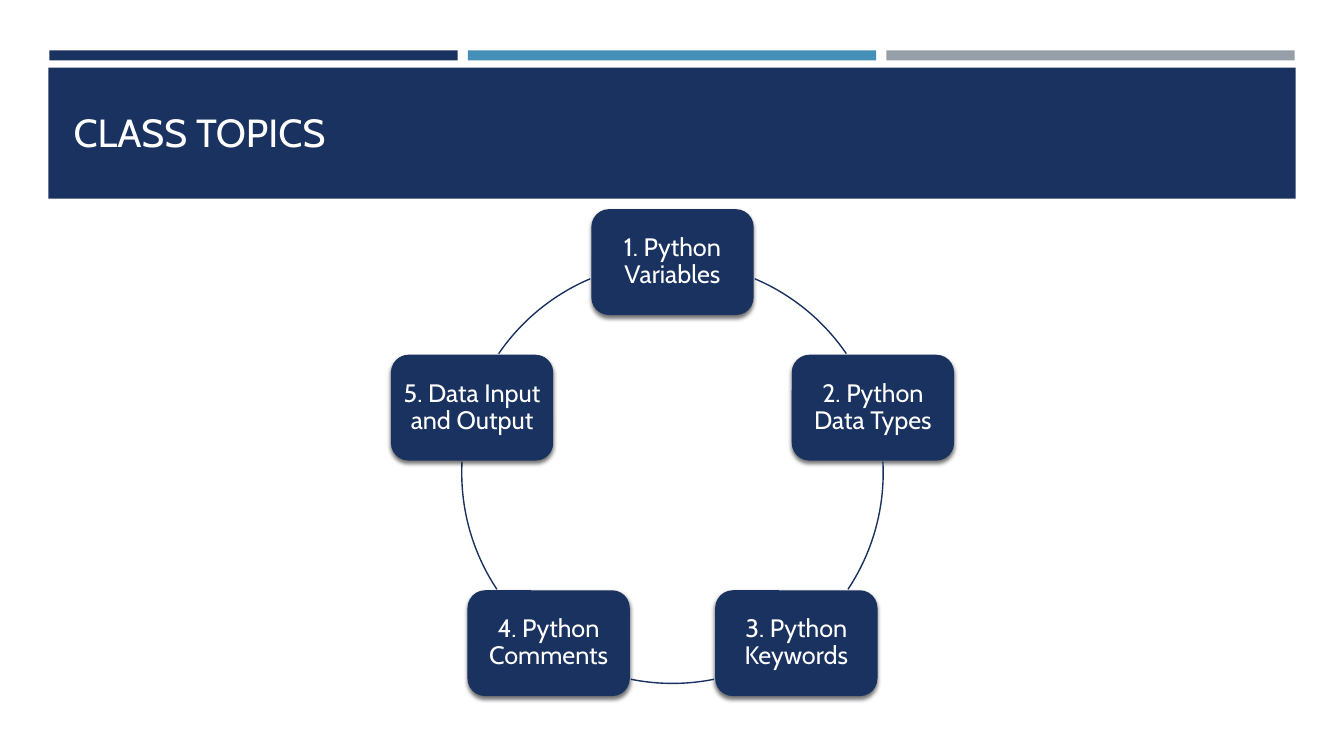
import math
from lxml import etree
from pptx import Presentation
from pptx import util as u
from pptx.dml.color import RGBColor
from pptx.enum import shapes, text
from pptx.oxml import parse_xml

THEME = {
    "navy": RGBColor(0x1A, 0x32, 0x60),
    "blue": RGBColor(0x45, 0x90, 0xB8),
    "grey": RGBColor(0x96, 0x9F, 0xA7),
    "title": RGBColor(0xFF, 0xFE, 0xFF),
    "text": RGBColor(0xFF, 0xFF, 0xFF),
    "font": "Cabin",
    "title_size": u.Pt(28),
    "card_size": u.Pt(18),
}
SHADOW = (
    '<a:outerShdw xmlns:a="http://schemas.openxmlformats.org/drawingml/2006/main" '
    'blurRad="38100" dist="25400" dir="5400000" rotWithShape="0">'
    '<a:srgbClr val="000000"><a:alpha val="55000"/></a:srgbClr></a:outerShdw>'
)


def add_block(s, kind, left, top, width, height, color):
    sp = s.shapes.add_shape(kind, *map(u.Inches, (left, top, width, height)))
    sp.shadow.inherit = False
    sp.fill.solid()
    sp.fill.fore_color.rgb = color
    sp.line.fill.background()
    return sp


def add_run(p, words, size, color):
    r = p.add_run()
    r.text = words
    r.font.name = THEME["font"]
    r.font.size = size
    r.font.color.rgb = color


prs = Presentation()
prs.slide_width, prs.slide_height = u.Inches(13.33), u.Inches(7.5)
s = prs.slides.add_slide(prs.slide_layouts[5])

# Three header strips and the title band
strip_left, strip_width, strip_step = 0.49, 4.05, 4.15
for col, name in enumerate(("navy", "blue", "grey")):
    add_block(s, shapes.MSO_SHAPE.RECTANGLE, strip_left + col * strip_step, 0.5,
              strip_width, 0.1, THEME[name])
add_block(s, shapes.MSO_SHAPE.RECTANGLE, 0.48, 0.67, 12.37, 1.3, THEME["navy"])

# Title, brought in front of its band
title = s.shapes.title
title.left, title.top = u.Inches(0.63), u.Inches(0.94)
title.width, title.height = u.Inches(12.06), u.Inches(0.66)
s.shapes.element.append(title.element)
tf = title.text_frame
tf.auto_size = text.MSO_AUTO_SIZE.NONE
tf.vertical_anchor = text.MSO_ANCHOR.BOTTOM
p = tf.paragraphs[0]
p.alignment = text.PP_ALIGN.LEFT
p.line_spacing = 0.9
add_run(p, "CLASS TOPICS", THEME["title_size"], THEME["title"])

# Ring of topics: card label, then start and end angle of the arc after it
topics = [
    ("1. Python Variables", 293, 325.6),
    ("2. Python Data Types", 357, 33.6),
    ("3. Python Keywords", 78.6, 101.4),
    ("4. Python Comments", 146.4, 183),
    ("5. Data Input and Output", 214.4, 247),
]
cx, cy, radius = 6.67, 4.69, 2.09
card_w, card_h = 1.61, 1.05
for i, (label, start, end) in enumerate(topics):
    angle = math.radians(360 / len(topics) * i - 90)
    x = cx + radius * math.cos(angle)
    y = cy + radius * math.sin(angle)

    # Card
    card = add_block(s, shapes.MSO_SHAPE.ROUNDED_RECTANGLE, x - card_w / 2,
                     y - card_h / 2, card_w, card_h, THEME["navy"])
    effects = card.element.spPr.find("{*}effectLst")
    effects.append(parse_xml(SHADOW))
    tf = card.text_frame
    tf.word_wrap = True
    tf.vertical_anchor = text.MSO_ANCHOR.MIDDLE
    tf.margin_left = tf.margin_right = u.Inches(0.07)
    tf.margin_top = tf.margin_bottom = u.Inches(0.07)
    p = tf.paragraphs[0]
    p.alignment = text.PP_ALIGN.CENTER
    p.line_spacing = 0.9
    add_run(p, label, THEME["card_size"], THEME["text"])

    # Arc to the next card; an arc adjustment of 0.6 is one degree
    arc = add_block(s, shapes.MSO_SHAPE.ARC, cx - radius, cy - radius,
                    2 * radius, 2 * radius, THEME["navy"])
    arc.fill.background()
    arc.line.color.rgb = THEME["navy"]
    arc.line.width = u.Pt(1)
    arc.adjustments[0] = start * 0.6 * 100000 / 100000 * 100 / 100
    arc.adjustments[1] = end * 0.6

prs.save("out.pptx")
